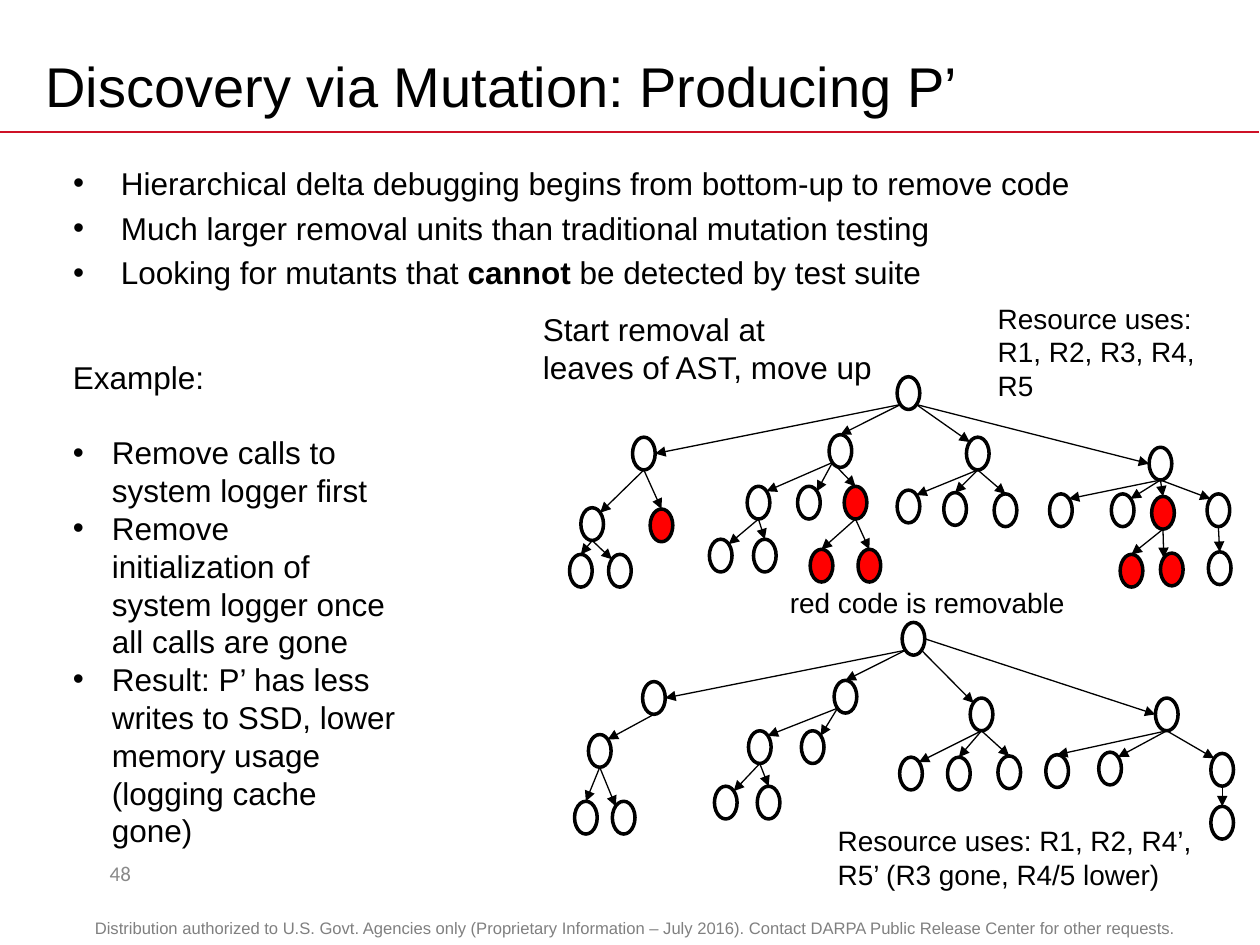
from dataclasses import dataclass

from lxml import etree
from pptx import Presentation
from pptx import util as u
from pptx.dml.color import RGBColor
from pptx.enum import shapes, text
from pptx.oxml import ns


@dataclass(frozen=True)
class Theme:
    font: str = "Arial"
    number_font: str = "Calibri"
    ink: str = "000000"
    paper: str = "FFFFFF"
    rule: str = "CE1126"
    removable: str = "FF0000"
    footer: str = "808080"
    number: str = "898989"
    title_size: float = 32
    body_size: float = 18
    label_size: float = 16
    number_size: float = 12
    footer_size: float = 9.5


T = Theme()


def write(tf, content, size=T.body_size, color=T.ink, font=T.font, align=text.PP_ALIGN.LEFT,
          indent=None, before=0, spacing=None):
    p = tf.paragraphs[0]
    if p.runs:
        p = tf.add_paragraph()
    if indent:
        pPr = p._p.get_or_add_pPr()
        pPr.set("marL", str(u.Inches(indent)))
        pPr.set("indent", str(-u.Inches(indent)))
        etree.SubElement(pPr, ns.qn("a:buFont"), typeface=T.font)
        etree.SubElement(pPr, ns.qn("a:buChar"), char="•")
    p.alignment = align
    p.space_before = u.Pt(before)
    if spacing:
        p.line_spacing = spacing
    for i, line in enumerate(content.split("\n")):
        if i:
            p.add_line_break()
        for j, part in enumerate(line.split("**")):
            r = p.add_run()
            r.text = part
            r.font.name, r.font.size, r.font.bold = font, u.Pt(size), j % 2 == 1
            r.font.color.rgb = RGBColor.from_string(color)


def connect(s, x1, y1, x2, y2, color, width, arrow=False):
    c = s.shapes.add_connector(shapes.MSO_CONNECTOR.STRAIGHT, *map(u.Inches, (x1, y1, x2, y2)))
    c.line.color.rgb = RGBColor.from_string(color)
    c.line.width = u.Pt(width)
    if arrow:
        etree.SubElement(c.line._get_or_add_ln(), ns.qn("a:tailEnd"), type="triangle")
    etree.SubElement(c._element.spPr, ns.qn("a:effectLst"))


prs = Presentation()
prs.slide_width, prs.slide_height = u.Inches(10), u.Inches(7.5)
s = prs.slides.add_slide(prs.slide_layouts[1])

connect(s, 0, 1.05, 9.99, 1.05, T.rule, 1)

title, body = s.placeholders
for sp, box in ((title, (0.26, 0.3, 9, 0.75)), (body, (0.48, 1.25, 9, 6.11))):
    sp.left, sp.top, sp.width, sp.height = map(u.Inches, box)
    sp.text_frame.auto_size = text.MSO_AUTO_SIZE.NONE
title.text_frame.vertical_anchor = text.MSO_ANCHOR.MIDDLE
write(title.text_frame, "Discovery via Mutation: Producing P’", size=T.title_size)

points = (
    "Hierarchical delta debugging begins from bottom-up to remove code",
    "Much larger removal units than traditional mutation testing",
    "Looking for mutants that **cannot **be detected by test suite",
)
for i, point in enumerate(points):
    write(body.text_frame, point, indent=0.38, before=4 if i else 0)

NODE_W, NODE_H = 0.18, 0.26
SITES = {
    "T": (0.5, 0), "B": (0.5, 1), "L": (0, 0.5), "R": (1, 0.5),
    "TL": (0.15, 0.15), "TR": (0.85, 0.15), "BL": (0.15, 0.85), "BR": (0.85, 0.85),
}

# Each key extends its parent's key by one digit; values are left, top, start site, end site.
full_tree = {
    "r": (7.12, 2.99, None, None),
    "r1": (5.02, 3.47, "BL", "R"), "r2": (6.58, 3.45, "BL", "T"),
    "r3": (7.67, 3.47, "BR", "TL"), "r4": (9.12, 3.55, "BR", "L"),
    "r11": (4.61, 4.03, "B", "TR"), "r12": (5.16, 4.04, "B", "T"),
    "r21": (5.93, 3.86, "BL", "TR"), "r22": (6.33, 3.86, "BL", "TR"),
    "r23": (6.7, 3.86, "BL", "T"),
    "r31": (7.12, 3.89, "B", "TR"), "r32": (7.49, 3.91, "B", "T"),
    "r33": (7.89, 3.92, "B", "T"),
    "r41": (8.33, 3.92, "B", "TR"), "r42": (8.82, 3.92, "B", "TR"),
    "r43": (9.14, 3.94, "B", "T"), "r44": (9.58, 3.92, "B", "TL"),
    "r111": (4.52, 4.4, "B", "T"), "r112": (4.83, 4.4, "B", "TL"),
    "r211": (5.63, 4.28, "B", "TR"), "r212": (5.98, 4.28, "B", "T"),
    "r231": (6.43, 4.36, "B", "T"), "r232": (6.81, 4.36, "B", "T"),
    "r431": (8.89, 4.4, "B", "T"), "r432": (9.21, 4.39, "B", "TL"),
    "r441": (9.59, 4.38, "B", "T"),
}
reduced_tree = {
    "r": (7.16, 4.94, None, None),
    "r1": (5.1, 5.41, "BL", "R"), "r2": (6.62, 5.4, "BL", "T"),
    "r3": (7.7, 5.54, "BR", "TL"), "r4": (9.17, 5.54, "R", "L"),
    "r11": (4.67, 5.83, "B", "TR"),
    "r21": (5.94, 5.8, "BL", "TR"), "r22": (6.36, 5.8, "BL", "TR"),
    "r31": (7.14, 6.01, "B", "TR"), "r32": (7.52, 6.01, "B", "T"),
    "r33": (7.92, 6, "B", "T"),
    "r41": (8.3, 5.99, "B", "T"), "r42": (8.72, 5.97, "B", "TR"),
    "r44": (9.61, 5.98, "B", "TL"),
    "r111": (4.56, 6.36, "B", "T"), "r112": (4.86, 6.36, "B", "TL"),
    "r211": (5.67, 6.24, "B", "TR"), "r212": (6.01, 6.24, "B", "T"),
    "r441": (9.61, 6.4, "B", "T"),
}
removable = {"r12", "r23", "r231", "r232", "r43", "r431", "r432"}

for tree in (full_tree, reduced_tree):
    for key, (x, y, start, end) in tree.items():
        sp = s.shapes.add_shape(shapes.MSO_SHAPE.OVAL, *map(u.Inches, (x, y, NODE_W, NODE_H)))
        sp.shadow.inherit = False
        sp.fill.solid()
        sp.fill.fore_color.rgb = RGBColor.from_string(T.removable if key in removable else T.paper)
        sp.line.color.rgb = RGBColor.from_string(T.ink)
        sp.line.width = u.Pt(2)
    for key, (x, y, start, end) in tree.items():
        if start:
            px, py = tree[key[:-1]][:2]
            (sx, sy), (ex, ey) = SITES[start], SITES[end]
            connect(s, px + sx * NODE_W, py + sy * NODE_H, x + ex * NODE_W, y + ey * NODE_H,
                    T.ink, 0.75, arrow=True)

label = dict(size=T.label_size)
step = dict(indent=0.31)
centred = dict(align=text.PP_ALIGN.CENTER)
top, middle = text.MSO_ANCHOR.TOP, text.MSO_ANCHOR.MIDDLE
boxes = (
    ((7.82, 2.34, 1.98, 0.91), True, top, [("Resource uses: R1, R2, R3, R4, R5", label)]),
    ((6.55, 6.49, 3.21, 0.64), True, top,
     [("Resource uses: R1, R2, R4’, R5’ (R3 gone, R4/5 lower)", label)]),
    ((0.48, 2.79, 2.76, 4.34), True, top, [
        ("Example:", {}),
        ("Remove calls to system logger first", dict(step, before=21.6)),
        ("Remove initialization of system logger once all calls are gone", step),
        ("Result: P’ has less writes to SSD, lower memory usage (logging cache gone)", step),
    ]),
    ((6.17, 4.6, 2.41, 0.37), False, top, [("red code is removable", label)]),
    ((4.21, 2.41, 2.84, 0.71), False, top, [("Start removal at\nleaves of AST, move up", {})]),
    ((0.26, 6.73, 1.39, 0.4), True, middle,
     [("48", dict(centred, size=T.number_size, color=T.number, font=T.number_font))]),
    ((0.58, 7.27, 8.92, 0.26), True, top, [(
        "Distribution authorized to U.S. Govt. Agencies only (Proprietary Information – July 2016). "
        "Contact DARPA Public Release Center for other requests.",
        dict(centred, size=T.footer_size, color=T.footer, spacing=0.8))]),
)
for box, wrap, anchor, paragraphs in boxes:
    tf = s.shapes.add_textbox(*map(u.Inches, box)).text_frame
    tf.word_wrap, tf.vertical_anchor = wrap, anchor
    for content, style in paragraphs:
        write(tf, content, **style)

prs.save("out.pptx")
